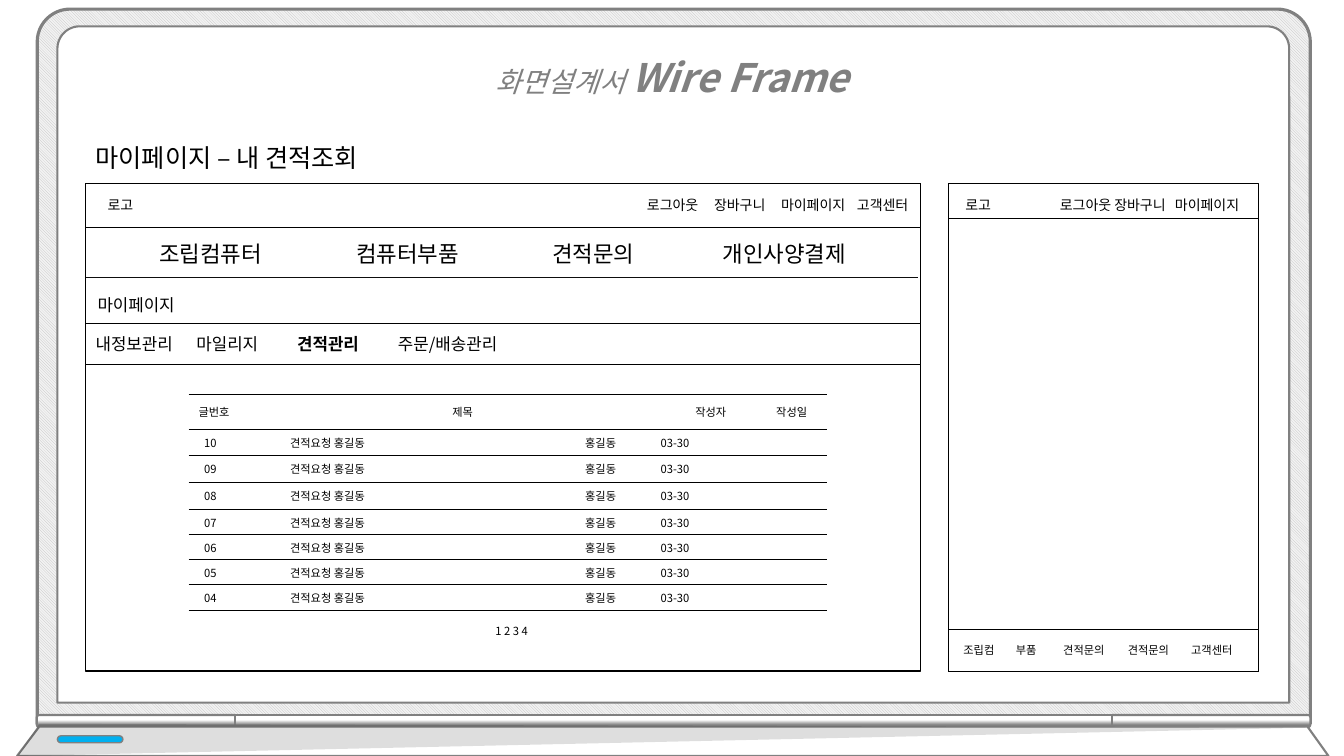
import pptx
import pptx.util
import pptx.dml.color
import pptx.enum.dml
import pptx.enum.shapes
import pptx.enum.text
import pptx.oxml.ns
from lxml import etree

Pt = pptx.util.Pt
RGBColor = pptx.dml.color.RGBColor
SHAPE = pptx.enum.shapes.MSO_SHAPE
ALIGN = pptx.enum.text.PP_ALIGN
qn = pptx.oxml.ns.qn

BLACK = RGBColor(0x00, 0x00, 0x00)
WHITE = RGBColor(0xFF, 0xFF, 0xFF)
GRAY = RGBColor(0x80, 0x80, 0x80)
HATCH = RGBColor(0xBF, 0xBF, 0xBF)
PALE = RGBColor(0xF2, 0xF2, 0xF2)
BLUE = RGBColor(0x00, 0xB0, 0xF0)
NEAR_BLACK = RGBColor(0x0D, 0x0D, 0x0D)
FONT = "Noto Sans CJK KR"


def add_box(shapes, kind, box, color=WHITE, line=BLACK, weight=1, corners=()):
    """Add a filled and outlined preset shape."""
    shape = shapes.add_shape(kind, *map(Pt, box))
    shape.shadow.inherit = False
    shape.fill.solid()
    shape.fill.fore_color.rgb = color
    shape.line.color.rgb = line
    shape.line.width = Pt(weight)
    for index, value in enumerate(corners):
        shape.adjustments[index] = value
    return shape


def add_rule(page, left, top, width, color=BLACK):
    """Draw a thin horizontal line."""
    rule = page.shapes.add_connector(
        pptx.enum.shapes.MSO_CONNECTOR.STRAIGHT,
        Pt(left), Pt(top), Pt(left + width), Pt(top))
    rule.line.color.rgb = color
    rule.line.width = Pt(0.5)
    etree.SubElement(rule.element.spPr, qn("a:effectLst"))


def write(frame, spans, tabs=(), align=ALIGN.LEFT, color=BLACK):
    """Fill a text frame with one paragraph of (text, size, bold, italic) spans."""
    para = frame.paragraphs[0]
    para.alignment = align
    if tabs:
        tab_list = etree.SubElement(para._p.get_or_add_pPr(), qn("a:tabLst"))
        for stop in tabs:
            etree.SubElement(tab_list, qn("a:tab"), pos=str(Pt(stop)), algn="l")
    for text, size, bold, italic in spans:
        span = para.add_run()
        span.text = text
        span.font.size = Pt(size)
        span.font.bold = bold
        span.font.italic = italic
        span.font.color.rgb = color
        span.font.name = FONT
        etree.SubElement(span._r.rPr, qn("a:ea"), typeface=FONT)
    return para


def add_text(page, box, text, size, tabs=(), inset=7.2, align=ALIGN.LEFT):
    """Add a one-line text box."""
    frame = page.shapes.add_textbox(*map(Pt, box)).text_frame
    frame.word_wrap = True
    frame.auto_size = pptx.enum.text.MSO_AUTO_SIZE.SHAPE_TO_FIT_TEXT
    frame.margin_left = Pt(inset)
    write(frame, [(text, size, False, False)], tabs, align)


def add_outline(shapes, points, color):
    """Add a closed polygon."""
    builder = shapes.build_freeform(*map(Pt, points[0]), scale=1.0)
    builder.add_line_segments([(Pt(x), Pt(y)) for x, y in points[1:]], close=True)
    shape = builder.convert_to_shape()
    shape.shadow.inherit = False
    shape.fill.solid()
    shape.fill.fore_color.rgb = color
    return shape


def draw_laptop(page, box):
    """Draw the laptop around the slide: lid, screen, hinge and base."""
    left, top, width, height = box
    shapes = page.shapes.add_group_shape().shapes
    lid = add_box(shapes, SHAPE.ROUND_2_SAME_RECTANGLE, box, PALE, GRAY, 2.25, (0.046, 0))
    lid.fill.patterned()
    lid.fill.pattern = pptx.enum.dml.MSO_PATTERN.LIGHT_DOWNWARD_DIAGONAL
    lid.fill.fore_color.rgb = HATCH
    lid.fill.back_color.rgb = PALE
    add_box(shapes, SHAPE.ROUND_2_SAME_RECTANGLE,
            (left + 14.4, top + 12.3, width - 29.5, height - 27.4),
            WHITE, GRAY, 1.5, (0.033, 0))

    hinge_middle = top + height - 2
    for middle, length, turn, corner in (
            (left + 70.6, 141.8, 270, 0.193),
            (left + width - 70.9, 141.8, 90, 0.193),
            (left + width / 2, 626.4, 270, 0)):
        hinge = add_box(shapes, SHAPE.ROUND_2_SAME_RECTANGLE,
                        (middle - 4.3, hinge_middle - length / 2, 8.6, length),
                        WHITE, GRAY, 1.5, (corner, 0))
        hinge.rotation = turn
        hinge.fill.gradient()
        hinge.fill.gradient_angle = 0
        for stop, position, color in zip(
                hinge.fill.gradient_stops, (0.17, 0.59), (GRAY, WHITE)):
            stop.position = position
            stop.color.rgb = color
        if turn == 90:
            hinge.element.spPr.xfrm.set("flipH", "1")

    base_top, base_bottom = top + height + 2, 540
    base = add_outline(shapes, [
        (left + 1.5, base_top), (left + width - 2, base_top),
        (left + width + 13, base_bottom), (left - 14.4, base_bottom)], WHITE)
    base.line.color.rgb = GRAY
    base.line.width = Pt(1.5)
    shade = add_outline(shapes, [
        (left + 1.5, base_top - 2), (left - 14.4, base_bottom),
        (left + width + 1.4, base_top + 0.7)], BLACK)
    shade.line.fill.background()
    etree.SubElement(next(shade.element.spPr.iter(qn("a:srgbClr"))),
                     qn("a:alpha"), val="13000")
    add_box(shapes, SHAPE.ROUNDED_RECTANGLE, (left + 14.4, base_top + 6.6, 46.8, 5),
            BLUE, GRAY, 1, (0.5,))


def draw_title(page, box):
    """Write the document title across the top."""
    frame = page.shapes.add_textbox(*map(Pt, box)).text_frame
    frame.word_wrap = True
    frame.auto_size = pptx.enum.text.MSO_AUTO_SIZE.SHAPE_TO_FIT_TEXT
    para = write(frame, [("화면설계서 ", 20, False, True), ("Wire Frame", 28, True, True)],
                 align=ALIGN.CENTER, color=GRAY)
    para.line_spacing = 1.5


def draw_desktop(page, box):
    """Draw the desktop screen with its menus and the quote list."""
    left, top, width, height = box
    add_text(page, (left, top - 33.1, 262.8, 28.8), "마이페이지 – 내 견적조회", 18)
    add_box(page.shapes, SHAPE.RECTANGLE, box)
    add_box(page.shapes, SHAPE.RECTANGLE, (left, top, width, 31.7))
    add_text(page, (left + 8.6, top + 5.8, 173.5, 19.4), "로고", 10)
    add_text(page, (left + 371.5, top + 5.8, 228, 19.4),
             "로그아웃\t장바구니\t마이페이지\t고객센터", 10, (47.9, 95.8, 150), 29.4)
    add_text(page, (left, top + 36.7, width, 26.6),
             "조립컴퓨터\t컴퓨터부품\t견적문의\t개인사양결제", 16, (140.7, 280.7, 402.6), 52.4)
    add_rule(page, left, top + 67, width - 1.4, NEAR_BLACK)
    add_text(page, (left + 1.4, top + 75.9, 163.4, 21.6), "마이페이지", 12)

    submenu = add_box(page.shapes, SHAPE.RECTANGLE, (left, top + 100, width, 29.5))
    submenu.text_frame.vertical_anchor = pptx.enum.text.MSO_ANCHOR.MIDDLE
    write(submenu.text_frame, [
        ("내정보관리\t마일리지\t", 12, False, False),
        ("견적관리\t", 12, True, False),
        ("주문/배송관리", 12, False, False)], (72, 144, 216))
    draw_quote_list(page, (left + 73.6, top + 150.5, 456, 178))


def draw_quote_list(page, box):
    """Draw the ruled list of quotes with its heading and page numbers."""
    left, top, width, height = box
    add_rule(page, left, top, width)
    for label, offset in (("글번호", 0), ("제목", 181.2), ("작성자", 354.8), ("작성일", 412.6)):
        add_text(page, (left + offset, top + 4.8, 43.2, 17.3), label, 8)
    row_tops = (25.2, 43.9, 63, 82, 100.2, 118.1, 136.1)
    for index, offset in enumerate(row_tops):
        add_rule(page, left, top + offset, width)
        add_text(page, (left, top + offset + 1.5, width, 17.3),
                 f"{10 - index:02d}\t견적요청 홍길동\t홍길동\t03-30", 8,
                 (61.4, 272.2, 326.1), 11)
    add_rule(page, left, top + 154.4, width)
    add_text(page, (left + 138.2, top + 160.6, 185, 17.3), "1 2 3 4", 8, align=ALIGN.CENTER)


def draw_mobile(page, box):
    """Draw the mobile screen with its header and bottom menu."""
    left, top, width, height = box
    add_box(page.shapes, SHAPE.RECTANGLE, box)
    add_text(page, (left + 5, top + 5.8, 37.4, 19.4), "로고", 10)
    add_text(page, (left + 47.5, top + 5.8, 174, 19.4),
             "로그아웃 장바구니\t마이페이지", 10, (82.2,), 32.1)
    add_rule(page, left, top + 25.2, width)
    add_box(page.shapes, SHAPE.RECTANGLE, (left, top + height - 29.7, width, 29.7))
    for label, offset, label_width in (
            ("조립컴", 3.6, 41), ("부품", 41, 41), ("견적문의", 74.9, 47.5),
            ("견적문의", 121, 47.5), ("고객센터", 166.3, 55)):
        add_text(page, (left + offset, top + height - 23.7, label_width, 17.3), label, 8)


def main():
    """Build and save the slide."""
    deck = pptx.Presentation()
    deck.slide_width, deck.slide_height = Pt(960), Pt(540)
    page = deck.slides.add_slide(deck.slide_layouts[6])
    draw_laptop(page, (26.6, 6.5, 909.4, 510.5))
    draw_title(page, (264.2, 18, 432, 58.3))
    draw_desktop(page, (61.2, 131, 596.2, 348.5))
    draw_mobile(page, (677.5, 131, 221.5, 348.5))
    deck.save("out.pptx")


if __name__ == "__main__":
    main()
